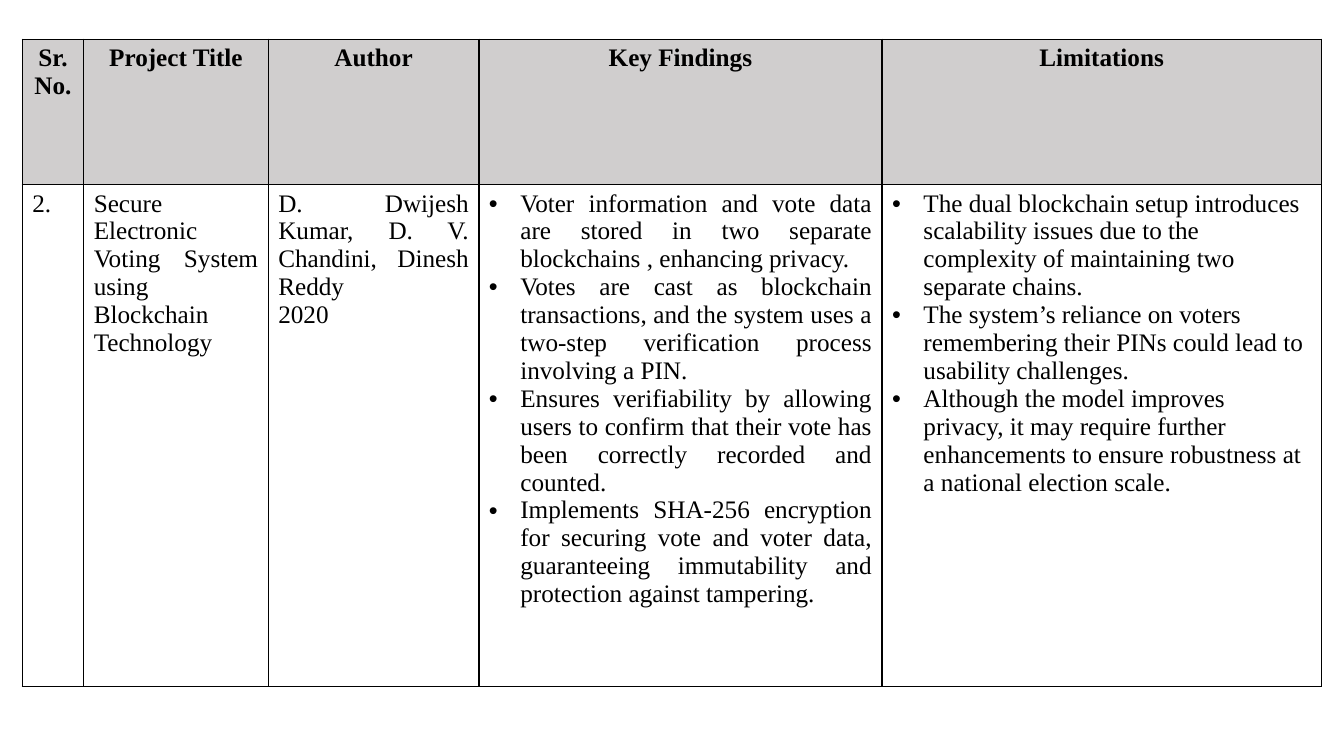
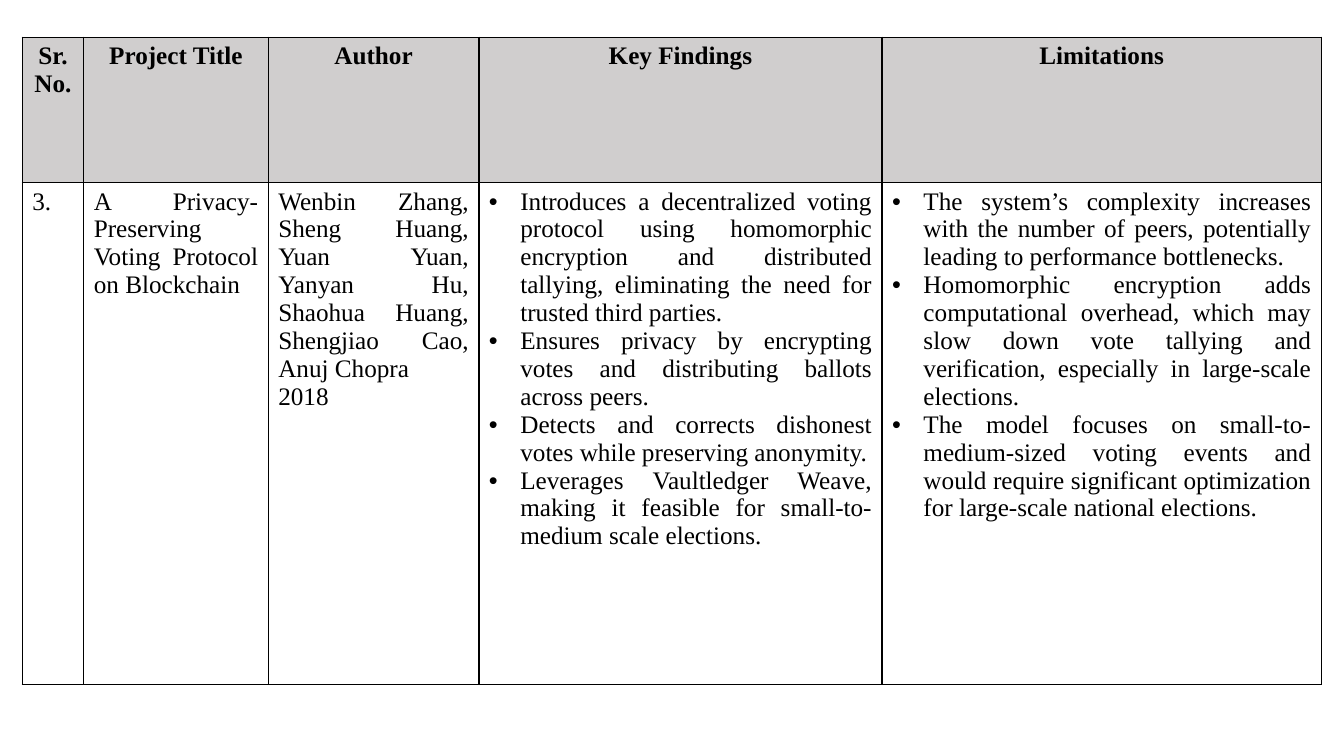
from lxml.etree import SubElement as Sub
from pptx import Presentation
from pptx.dml.color import RGBColor as Rgb
from pptx.enum.text import PP_ALIGN as Align
from pptx.oxml.ns import qn
from pptx.util import Cm, Pt

HUES = {"ink": "000000", "head": "D0CECE", "body": "FFFFFF"}
FONT, SIZE = "Times New Roman", Pt(18)
LEFT, DENT = Cm(0.56), Cm(0.79)
COLS = [Cm(w) for w in (1.55, 4.65, 5.31, 10.16, 11.07)]
ROWS = [Cm(h) for h in (3.66, 12.65)]
HEADS = ["Sr. No.", "Project Title", "Author", "Key Findings", "Limitations"]

PAPERS = [
    {
        "top": Cm(0.99),
        "last": Align.LEFT,
        "cells": [
            ["2."],
            ["Secure Electronic Voting System using Blockchain Technology"],
            ["D. Dwijesh Kumar, D. V. Chandini, Dinesh Reddy", "2020"],
            [
                "Voter information and vote data are stored in two separate blockchains , enhancing privacy.",
                "Votes are cast as blockchain transactions, and the system uses a two-step verification process involving a PIN.",
                "Ensures verifiability by allowing users to confirm that their vote has been correctly recorded and counted.",
                "Implements SHA-256 encryption for securing vote and voter data, guaranteeing immutability and protection against tampering.",
            ],
            [
                "The dual blockchain setup introduces scalability issues due to the complexity of maintaining two separate chains.",
                "The system’s reliance on voters remembering their PINs could lead to usability challenges.",
                "Although the model improves privacy, it may require further enhancements to ensure robustness at a national election scale.",
            ],
        ],
    },
    {
        "top": Cm(0.94),
        "last": Align.JUSTIFY,
        "cells": [
            ["3."],
            ["A Privacy-Preserving Voting Protocol on Blockchain"],
            [
                "Wenbin Zhang, Sheng Huang, Yuan Yuan, Yanyan Hu, Shaohua Huang, Shengjiao Cao, Anuj Chopra",
                "2018",
            ],
            [
                "Introduces a decentralized voting protocol using homomorphic encryption and distributed tallying, eliminating the need for trusted third parties.",
                "Ensures privacy by encrypting votes and distributing ballots across peers.",
                "Detects and corrects dishonest votes while preserving anonymity.",
                "Leverages Vaultledger Weave, making it feasible for small-to-medium scale elections.",
            ],
            [
                "The system’s complexity increases with the number of peers, potentially leading to performance bottlenecks.",
                "Homomorphic encryption adds computational overhead, which may slow down vote tallying and verification, especially in large-scale elections.",
                "The model focuses on small-to-medium-sized voting events and would require significant optimization for large-scale national elections.",
            ],
        ],
    },
]


def add_ink(node):
    Sub(node, qn("a:srgbClr"), val=HUES["ink"])


def frame(cell):
    props = cell._tc.get_or_add_tcPr()
    for side in ("lnL", "lnR", "lnT", "lnB"):
        line = Sub(props, qn(f"a:{side}"), w=str(Pt(1)))
        add_ink(Sub(line, qn("a:solidFill")))


def bullet(para):
    props = para._p.get_or_add_pPr()
    props.set("marL", str(DENT))
    props.set("indent", str(-DENT))
    add_ink(Sub(props, qn("a:buClr")))
    Sub(props, qn("a:buFont"), typeface="Arial")
    Sub(props, qn("a:buChar"), char="•")


def fill_cell(cell, lines, hue, align, bold=False, dots=False):
    frame(cell)
    cell.fill.solid()
    cell.fill.fore_color.rgb = Rgb.from_string(HUES[hue])
    text = cell.text_frame
    for i, line in enumerate(lines):
        para = text.add_paragraph() if i else text.paragraphs[0]
        para.alignment = align
        if dots:
            bullet(para)
        run = para.add_run()
        run.text = line
        font = run.font
        font.name, font.size, font.bold = FONT, SIZE, bold
        font.color.rgb = Rgb.from_string(HUES["ink"])


def add_paper(deck, paper):
    slide = deck.slides.add_slide(deck.slide_layouts[6])
    table = slide.shapes.add_table(
        len(ROWS), len(COLS), LEFT, paper["top"], sum(COLS), sum(ROWS)
    ).table
    for col, width in zip(table.columns, COLS):
        col.width = width
    for row, height in zip(table.rows, ROWS):
        row.height = height
    final = len(COLS) - 1
    for i, (head, lines) in enumerate(zip(HEADS, paper["cells"])):
        fill_cell(table.cell(0, i), [head], "head", Align.CENTER, bold=True)
        align = paper["last"] if i == final else Align.JUSTIFY
        fill_cell(table.cell(1, i), lines, "body", align, dots=i >= 3)


def main():
    deck = Presentation()
    deck.slide_width, deck.slide_height = Cm(33.87), Cm(19.05)
    for paper in PAPERS:
        add_paper(deck, paper)
    deck.save("out.pptx")


if __name__ == "__main__":
    main()
